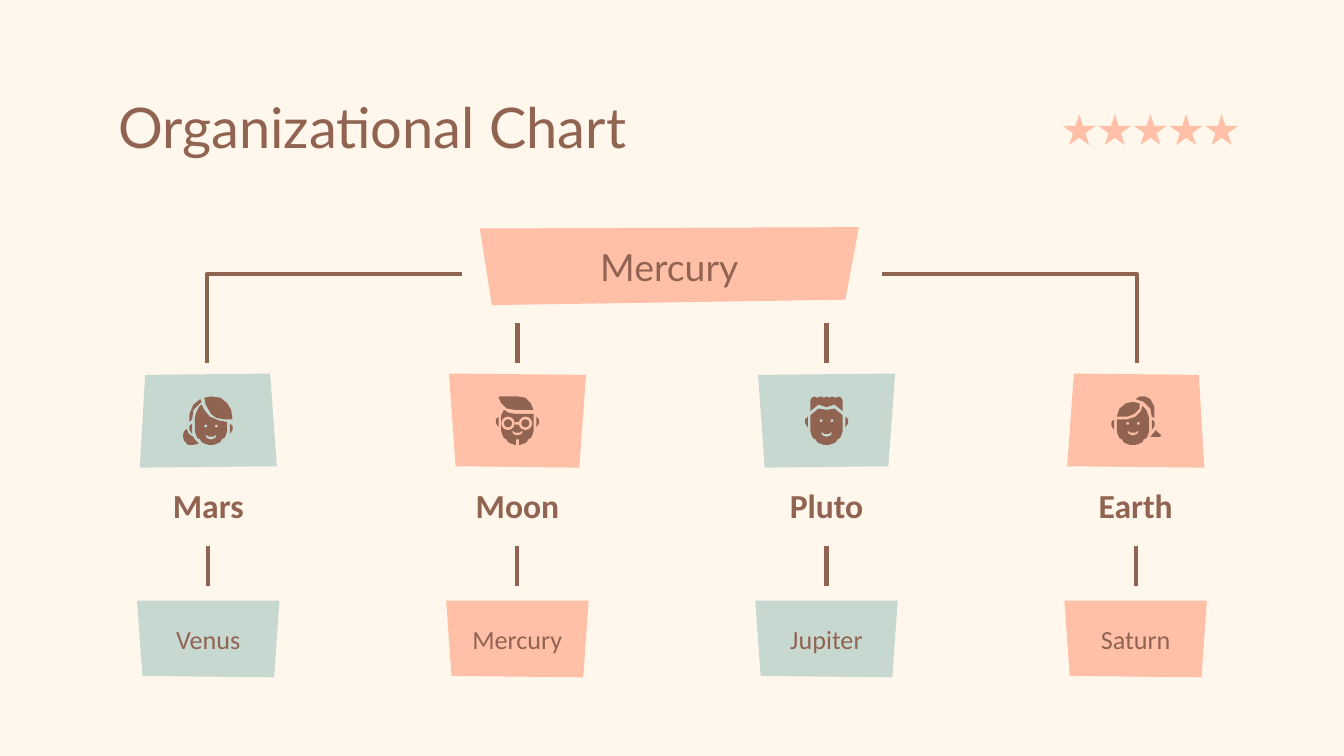
from math import cos, pi, sin

from lxml.etree import SubElement
from pptx import Presentation
from pptx.dml.color import RGBColor
from pptx.enum.shapes import MSO_CONNECTOR, MSO_SHAPE
from pptx.enum.text import MSO_ANCHOR, PP_ALIGN
from pptx.oxml.ns import qn
from pptx.util import Inches, Pt

CREAM = RGBColor(0xFF, 0xF6, 0xEC)
BROWN = RGBColor(0x91, 0x64, 0x52)
PEACH = RGBColor(0xFF, 0xC0, 0xA7)
SAGE = RGBColor(0xC7, 0xD8, 0xD0)

NARROW_TOP = [(-47, 1), (46, 0), (51, 69), (-51, 70)]
WIDE_TOP = [(-51, 0), (51, 1), (46, 70), (-46, 69)]
REPORT = [(-53, 0), (53, 0), (49, 57), (-49, 56)]
BANNER = [(-141, 1), (141, 0), (131, 54), (-132, 58)]
MOUTH = [(-4, 0), (-3, 2), (0, 3), (3, 2), (4, 0), (3, 0), (2, 1), (-2, 1), (-3, 0)]

MARS_FACE = {
    "center": 2, "ears": 20, "eyes": 22, "mouth": 29,
    "crown": [(-10, 16), (-9, 12), (-7, 8), (-5, 6), (-3, 10), (1, 15), (8, 18), (14, 19)],
    "hair": [
        [(2, 0), (-3, 1), (-2, 6), (2, 13), (6, 16), (12, 17), (18, 17), (17, 10),
         (14, 5), (9, 1)],
        [(-6, 2), (-11, 6), (-14, 13), (-14, 19), (-12, 17), (-11, 10), (-5, 4)],
        [(-16, 24), (-18, 26), (-19, 29), (-18, 33), (-15, 36), (-11, 36), (-7, 35),
         (-10, 32), (-11, 30), (-13, 29), (-15, 27)],
    ],
}
MOON_FACE = {
    "center": 0, "ears": 15, "eyes": None, "mouth": 26,
    "crown": [(-12, 14), (-10, 10), (-7, 12), (-2, 13), (12, 13)],
    "hair": [[(-13, 0), (-14, 1), (-12, 5), (-8, 9), (-2, 10), (12, 10), (10, 5), (6, 1), (0, 0)]],
}
PLUTO_FACE = {
    "center": 0, "ears": 15, "eyes": 18, "mouth": 27,
    "crown": [(-12, 14), (-6, 9), (0, 10), (6, 9), (12, 14)],
    "hair": [[(-12, 11), (-12, 3), (-11, 1), (-9, 0), (-7, 1), (-4, 0), (-2, 1), (0, 0),
              (2, 1), (4, 0), (7, 1), (9, 0), (11, 1), (12, 3), (12, 11), (6, 6), (0, 8),
              (-6, 6)]],
}
EARTH_FACE = {
    "center": -2, "ears": 17, "eyes": 20, "mouth": 26,
    "crown": [(-14, 17), (-6, 17), (0, 15), (4, 11), (5, 7), (8, 10), (10, 16)],
    "hair": [
        [(0, 2), (3, 0), (7, 0), (11, 2), (14, 8), (14, 16), (12, 15), (11, 9), (6, 4)],
        [(15, 25), (11, 30), (18, 30), (19, 29)],
        [(-14, 15), (-12, 9), (-7, 5), (-2, 4), (3, 5), (3, 9), (-1, 13), (-6, 15)],
    ],
}
BRANCHES = [
    ("Mars", "Venus", SAGE, NARROW_TOP, MARS_FACE),
    ("Moon", "Mercury", PEACH, WIDE_TOP, MOON_FACE),
    ("Pluto", "Jupiter", SAGE, [(-x, y) for x, y in WIDE_TOP], PLUTO_FACE),
    ("Earth", "Saturn", PEACH, [(-x, y) for x, y in NARROW_TOP], EARTH_FACE),
]


def write_text(shape, text, size, font, bold=False, align=PP_ALIGN.CENTER, anchor=MSO_ANCHOR.MIDDLE):
    frame = shape.text_frame
    frame.word_wrap = True
    frame.vertical_anchor = anchor
    frame.margin_left = frame.margin_right = Inches(0.1)
    frame.margin_top = frame.margin_bottom = Inches(0.1)
    frame.text = text
    paragraph = frame.paragraphs[0]
    paragraph.alignment = align
    span = paragraph.runs[0]
    span.font.size = Pt(size)
    span.font.name = font
    span.font.bold = bold
    span.font.color.rgb = BROWN


def paint(shape, color):
    shape.shadow.inherit = False
    shape.fill.solid()
    shape.fill.fore_color.rgb = color
    shape.line.fill.background()


def add_outline(slide, points, left, top, closed=True):
    builder = slide.shapes.build_freeform(*points[0], scale=Inches(0.01))
    builder.add_line_segments(points[1:], close=closed)
    return builder.convert_to_shape(Inches(left), Inches(top))


def add_polygon(slide, points, left, top, color):
    shape = add_outline(slide, points, left, top)
    paint(shape, color)
    return shape


def add_preset(slide, kind, left, top, width, height, color):
    shape = slide.shapes.add_shape(kind, Inches(left), Inches(top), Inches(width), Inches(height))
    paint(shape, color)


def add_dot(slide, x, y, diameter, color):
    radius = diameter / 2
    add_preset(slide, MSO_SHAPE.OVAL, x - radius, y - radius, diameter, diameter, color)


def add_stem(slide, x, top):
    stem = slide.shapes.add_connector(
        MSO_CONNECTOR.STRAIGHT, Inches(x), Inches(top), Inches(x), Inches(top + 0.3))
    stem.line.color.rgb = BROWN
    stem.line.width = Pt(2.25)
    SubElement(stem._element.spPr, qn("a:effectLst"))


def add_elbow(slide, x, reach):
    elbow = add_outline(slide, [(0, 66), (0, 0), (reach, 0)], x, 2.04, closed=False)
    elbow.shadow.inherit = False
    elbow.fill.background()
    elbow.line.color.rgb = BROWN
    elbow.line.width = Pt(2.25)


def add_glasses(slide, x, top, color):
    for side in (-0.07, 0.06):
        add_dot(slide, x + side, top + 0.2, 0.1, color)
        add_dot(slide, x + side, top + 0.2, 0.06, BROWN)
    add_preset(slide, MSO_SHAPE.RECTANGLE, x - 0.02, top + 0.19, 0.04, 0.02, color)
    add_preset(slide, MSO_SHAPE.RECTANGLE, x - 0.01, top + 0.32, 0.02, 0.05, color)


def add_face(slide, x, top, face, color):
    center = face["center"]
    middle = x + center / 100
    chin = [(center + 12 * cos(pi * step / 16), 24 + 12 * sin(pi * step / 16)) for step in range(17)]
    for points in [face["crown"] + chin] + face["hair"]:
        add_polygon(slide, points, x, top, BROWN)
    for side in (-1, 1):
        ear = [(14 * side, 0), (16 * side, 2), (16 * side, 5), (14 * side, 8)]
        add_polygon(slide, ear, middle, top + face["ears"] / 100, BROWN)
        if face["eyes"]:
            add_dot(slide, middle + 0.04 * side, top + face["eyes"] / 100, 0.02, color)
    add_polygon(slide, MOUTH, middle, top + face["mouth"] / 100, color)
    if not face["eyes"]:
        add_glasses(slide, x, top, color)


def add_branch(slide, x, name, report, color, card, face):
    add_polygon(slide, card, x, 2.78, color)
    add_face(slide, x, 2.95, face, color)
    label = slide.shapes.add_textbox(Inches(x - 0.64), Inches(3.57), Inches(1.28), Inches(0.38))
    write_text(label, name, 18, "Calibri", bold=True)
    add_stem(slide, x, 4.06)
    write_text(add_polygon(slide, REPORT, x, 4.47, color), report, 14, "Calibri")


def main():
    deck = Presentation()
    deck.slide_width = Inches(10)
    deck.slide_height = deck.slide_width * 9 // 16
    slide = deck.slides.add_slide(deck.slide_layouts[5])
    slide.background.fill.solid()
    slide.background.fill.fore_color.rgb = CREAM

    for index in range(5):
        add_preset(slide, MSO_SHAPE.STAR_5_POINT, 7.91 + 1.06 * index / 4, 0.85, 0.24, 0.23, PEACH)

    title = slide.shapes.title
    title.left, title.top = Inches(0.78), Inches(0.59)
    title.width, title.height = Inches(8.44), Inches(0.63)
    write_text(title, "Organizational Chart", 30, "Lato", align=PP_ALIGN.LEFT, anchor=MSO_ANCHOR.TOP)

    write_text(add_polygon(slide, BANNER, 4.98, 1.69, PEACH), "Mercury", 20, "Lato")
    add_elbow(slide, 1.54, 190)
    add_elbow(slide, 8.46, -190)
    for x in (3.85, 6.15):
        add_stem(slide, x, 2.4)
    for index, branch in enumerate(BRANCHES):
        add_branch(slide, 1.55 + 2.3 * index, *branch)

    deck.save("out.pptx")


if __name__ == "__main__":
    main()
